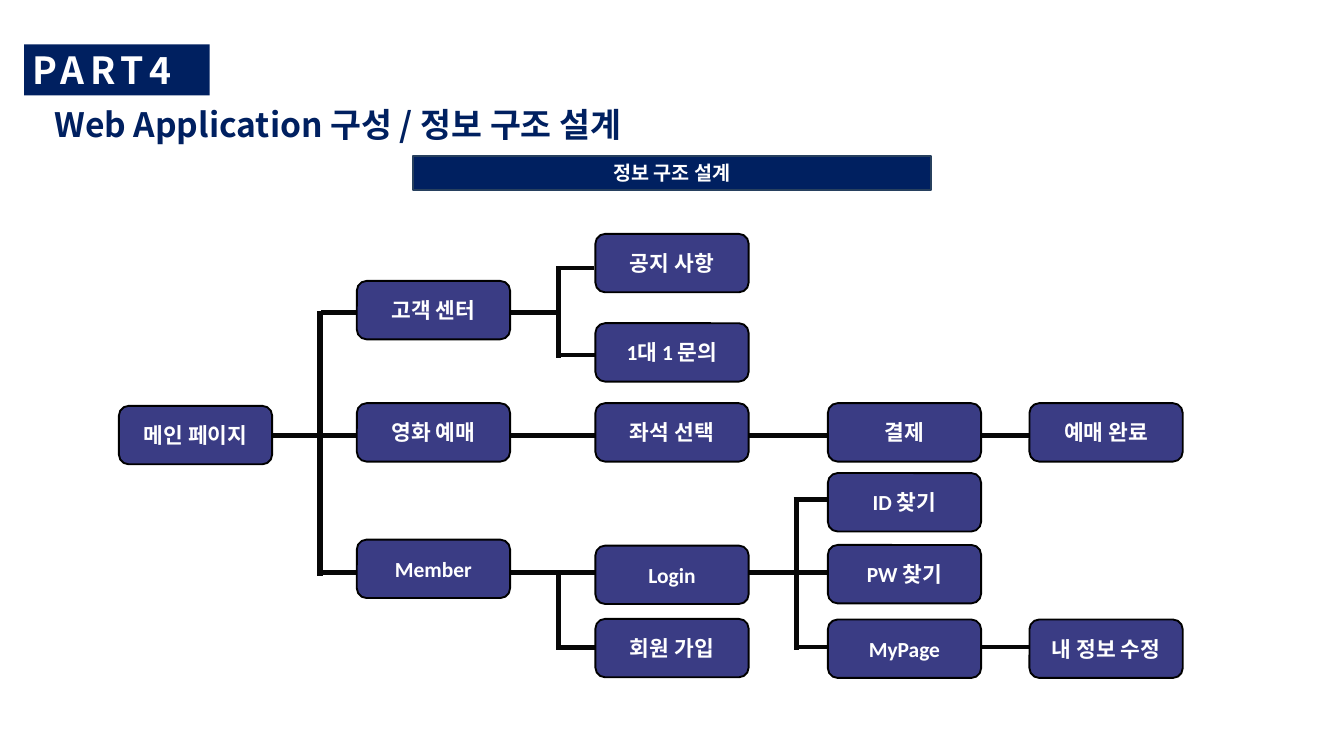
from collections import namedtuple
from dataclasses import dataclass

from lxml import etree
from pptx import Presentation
from pptx.dml.color import RGBColor
from pptx.enum.shapes import MSO_CONNECTOR as Connector, MSO_SHAPE as Shape
from pptx.enum.text import MSO_ANCHOR as Anchor, PP_ALIGN as Align
from pptx.oxml.ns import qn
from pptx.util import Pt

Box = namedtuple("Box", "left top width height")


@dataclass(frozen=True)
class Theme:
    navy: str = "002060"
    node: str = "3A3C84"
    node_edge: str = "000000"
    banner_edge: str = "27405E"
    link: str = "070707"
    white: str = "FFFFFF"
    latin: str = "Calibri"
    korean: str = "Noto Sans CJK KR"
    part_size: float = 40
    title_size: float = 36
    banner_size: float = 21
    node_size: float = 23
    branch_width: float = 5
    trunk_width: float = 6
    edge_width: float = 2


THEME = Theme()
NODE_WIDTH, NODE_HEIGHT = 164.2, 62.6
COLUMNS = (0.4, 255.3, 510.9, 760, 976)
NODES = (
    (0, 184.9, "메인 페이지"),
    (1, 51, "고객 센터"),
    (1, 182, "영화 예매"),
    (1, 328.2, "Member"),
    (2, 0.6, "공지 사항"),
    (2, 96.3, "1대 1 문의"),
    (2, 182, "좌석 선택"),
    (2, 334.6, "Login"),
    (2, 413.1, "회원 가입"),
    (3, 182, "결제"),
    (3, 256.9, "ID 찾기"),
    (3, 333.9, "PW 찾기"),
    (3, 413.8, "MyPage"),
    (4, 182, "예매 완료"),
    (4, 413.8, "내 정보 수정"),
)
BRANCHES = (
    (37.3, 471.3, 509.5),
    (84.8, 217.2, 471.3),
    (130.2, 471.3, 559.2),
    (216.6, 117, 1052.4),
    (285, 723.3, 761.5),
    (363.4, 215.7, 814),
    (443.4, 726.2, 1001.2),
    (444.1, 471.3, 615.3),
)
TRUNKS = (
    (215.7, 83.4, 367),
    (471.3, 35.1, 133.8),
    (471.3, 363.4, 446.2),
    (726.2, 282.8, 446.2),
)


def color(value):
    return RGBColor.from_string(value)


def write(shape, text, size, ink, font, align, inset=7.2, spacing=0):
    frame = shape.text_frame
    frame.word_wrap = True
    frame.vertical_anchor = Anchor.MIDDLE
    frame.margin_left = frame.margin_right = Pt(inset)
    frame.margin_top = frame.margin_bottom = 0
    para = frame.paragraphs[0]
    para.alignment = align
    span = para.add_run()
    span.text = text
    span.font.size = Pt(size)
    span.font.bold = True
    span.font.name = font
    span.font.color.rgb = color(ink)
    props = span.font._element
    etree.SubElement(props, qn("a:ea"), typeface=THEME.korean)
    if spacing:
        props.set("spc", str(spacing * 100))


def add_panel(page, kind, box, fill, edge=None):
    panel = page.shapes.add_shape(kind, *map(Pt, box))
    panel.shadow.inherit = False
    panel.fill.solid()
    panel.fill.fore_color.rgb = color(fill)
    if edge:
        panel.line.color.rgb = color(edge)
        panel.line.width = Pt(THEME.edge_width)
    else:
        panel.line.fill.background()
    return panel


def add_link(page, start, end, width):
    link = page.shapes.add_connector(Connector.STRAIGHT, *map(Pt, start + end))
    link.line.color.rgb = color(THEME.link)
    link.line.width = Pt(width)
    etree.SubElement(link._element.spPr, qn("a:effectLst"))


def add_part_label(page, box):
    panel = add_panel(page, Shape.RECTANGLE, box, THEME.navy)
    write(panel, "PART4", THEME.part_size, THEME.white, THEME.korean,
          Align.LEFT, inset=9, spacing=6)


def add_title(page, box):
    title = page.shapes.add_textbox(*map(Pt, box))
    write(title, "Web Application 구성 / 정보 구조 설계", THEME.title_size,
          THEME.navy, THEME.korean, Align.JUSTIFY)


def add_banner(page, box):
    panel = add_panel(page, Shape.RECTANGLE, box, THEME.navy, THEME.banner_edge)
    write(panel, "정보 구조 설계", THEME.banner_size, THEME.white,
          THEME.latin, Align.CENTER)


def add_site_map(page, box):
    left, top = box.left, box.top
    for y, x1, x2 in BRANCHES:
        add_link(page, (left + x1, top + y), (left + x2, top + y),
                 THEME.branch_width)
    for x, y1, y2 in TRUNKS:
        add_link(page, (left + x, top + y1), (left + x, top + y2),
                 THEME.trunk_width)
    for column, y, label in NODES:
        place = Box(left + COLUMNS[column], top + y, NODE_WIDTH, NODE_HEIGHT)
        node = add_panel(page, Shape.ROUNDED_RECTANGLE, place,
                         THEME.node, THEME.node_edge)
        node.adjustments[0] = 0.167
        write(node, label, THEME.node_size, THEME.white, THEME.latin,
              Align.CENTER)


def main():
    deck = Presentation()
    deck.slide_width, deck.slide_height = Pt(1440), Pt(810)
    page = deck.slides.add_slide(deck.slide_layouts[6])
    add_site_map(page, Box(127, 250, 1140.2, 476.4))
    add_part_label(page, Box(25.9, 47.5, 198.7, 54.7))
    add_banner(page, Box(442.1, 167, 555.8, 36.7))
    add_title(page, Box(51.1, 107.3, 748.1, 50.4))
    deck.save("out.pptx")


if __name__ == "__main__":
    main()
